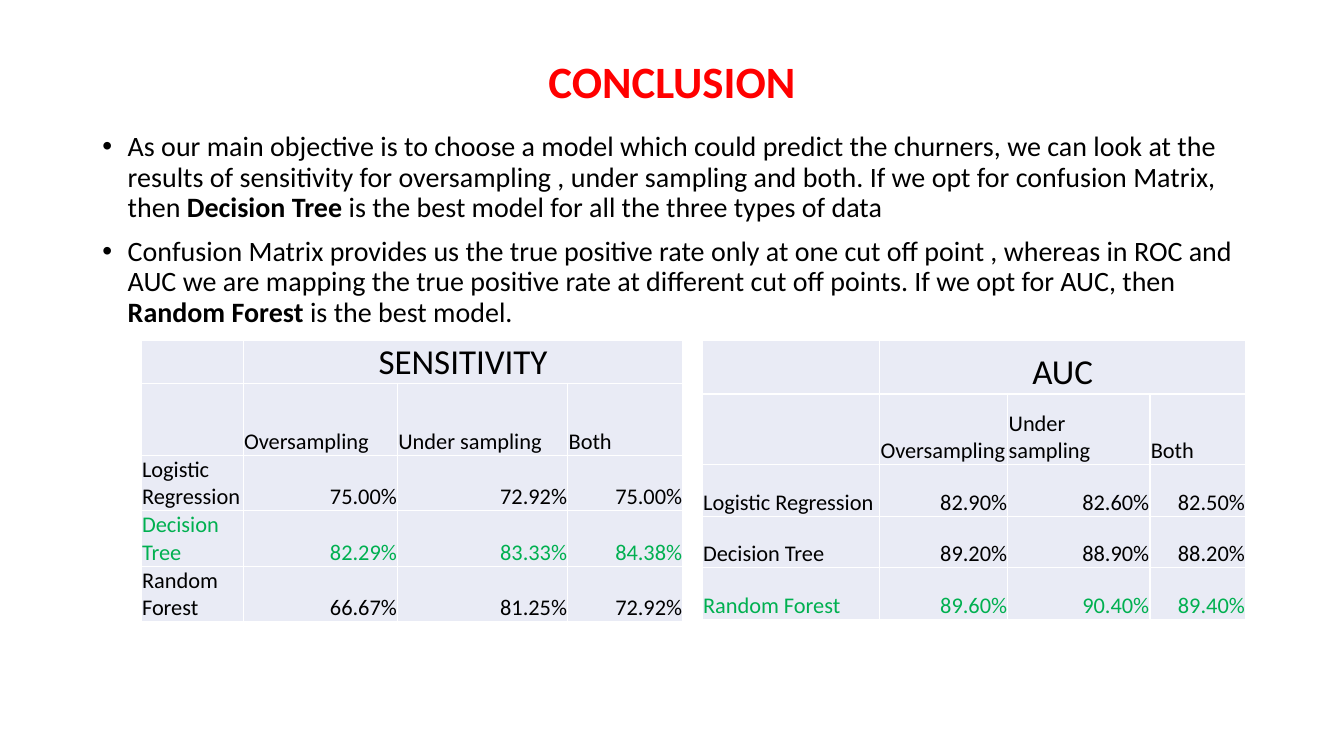
from dataclasses import dataclass
from lxml.etree import SubElement
from pptx import Presentation
from pptx.dml.color import RGBColor
from pptx.enum.text import MSO_ANCHOR, MSO_AUTO_SIZE, PP_ALIGN
from pptx.oxml.ns import qn
from pptx.util import Cm, Pt


@dataclass(frozen=True)
class Theme:
    font: str = "Calibri"
    title_color: RGBColor = RGBColor(0xFF, 0x00, 0x00)
    text_color: RGBColor = RGBColor(0x00, 0x00, 0x00)
    best_color: RGBColor = RGBColor(0x00, 0xB0, 0x50)
    cell_fill: RGBColor = RGBColor(0xE9, 0xEB, 0xF5)
    title_size: Pt = Pt(32)
    body_size: Pt = Pt(20)
    heading_size: Pt = Pt(25)
    cell_size: Pt = Pt(16)


THEME = Theme()

# Each point: lead-in, bold model name, ending
POINTS = [
    ("As our main objective is to choose a model which could predict the churners, "
     "we can look at the results of sensitivity for oversampling , under sampling and both. "
     "If we opt for confusion Matrix, then ",
     "Decision Tree ", "is the best model for all the three types of data"),
    ("Confusion Matrix provides us the true positive rate only at one cut off point , "
     "whereas in ROC and AUC we are mapping the true positive rate at different cut off points. "
     "If we opt for AUC, then ",
     "Random Forest ", "is the best model."),
]
SAMPLINGS = ["", "Oversampling", "Under sampling", "Both"]
SENSITIVITY = [
    ["Logistic Regression", "75.00%", "72.92%", "75.00%"],
    ["Decision Tree", "82.29%", "83.33%", "84.38%"],
    ["Random Forest", "66.67%", "81.25%", "72.92%"],
]
AUC = [
    ["Logistic Regression", "82.90%", "82.60%", "82.50%"],
    ["Decision Tree", "89.20%", "88.90%", "88.20%"],
    ["Random Forest", "89.60%", "90.40%", "89.40%"],
]


def format_run(run, size, color=THEME.text_color, bold=False):
    run.font.name = THEME.font
    run.font.size = size
    run.font.bold = bold
    run.font.color.rgb = color


def add_title(slide, text, left, top, width, height):
    title = slide.shapes.title
    title.left, title.top, title.width, title.height = left, top, width, height
    frame = title.text_frame
    frame.text = text
    frame.auto_size = MSO_AUTO_SIZE.NONE
    frame.vertical_anchor = MSO_ANCHOR.MIDDLE
    paragraph = frame.paragraphs[0]
    paragraph.alignment = PP_ALIGN.CENTER
    paragraph.line_spacing = 0.9
    format_run(paragraph.runs[0], THEME.title_size, THEME.title_color, bold=True)


def set_bullet(paragraph, indent):
    properties = paragraph._p.get_or_add_pPr()
    properties.set("marL", str(indent))
    properties.set("indent", str(-indent))
    SubElement(properties, qn("a:buFont"), typeface="Arial")
    SubElement(properties, qn("a:buChar"), char="•")


def add_points(slide, points, left, top, width, height):
    frame = slide.shapes.add_textbox(left, top, width, height).text_frame
    frame.word_wrap = True
    for index, parts in enumerate(points):
        paragraph = frame.add_paragraph() if index else frame.paragraphs[0]
        paragraph.line_spacing = 0.9
        paragraph.space_before = Pt(10)
        set_bullet(paragraph, Cm(0.64))
        for position, text in enumerate(parts):
            run = paragraph.add_run()
            run.text = text
            format_run(run, THEME.body_size, bold=position == 1)


def fill_cell(cell, text, size, color, alignment):
    cell.fill.solid()
    cell.fill.fore_color.rgb = THEME.cell_fill
    if not text:
        return
    cell.text = text
    cell.vertical_anchor = MSO_ANCHOR.BOTTOM
    cell.margin_left = cell.margin_right = cell.margin_top = Cm(0.02)
    cell.margin_bottom = 0
    paragraph = cell.text_frame.paragraphs[0]
    paragraph.alignment = alignment
    format_run(paragraph.runs[0], size, color)


def add_score_table(slide, heading, scores, best_model, left, top, widths, heights):
    """Add a model-by-sampling table whose best model is highlighted."""
    rows = [["", heading, "", ""], SAMPLINGS, *scores]
    frame = slide.shapes.add_table(len(rows), len(widths), left, top, sum(widths), sum(heights))
    table = frame.table
    table.first_row = table.horz_banding = False
    for column, width in zip(table.columns, widths):
        column.width = width
    for row, height in zip(table.rows, heights):
        row.height = height
    table.cell(0, 1).merge(table.cell(0, 3))
    for row_index, row in enumerate(rows):
        color = THEME.best_color if row[0] == best_model else THEME.text_color
        size = THEME.cell_size if row_index else THEME.heading_size
        for column_index, text in enumerate(row):
            if row_index == 0:
                alignment = PP_ALIGN.CENTER
            elif row_index > 1 and column_index > 0:
                alignment = PP_ALIGN.RIGHT
            else:
                alignment = PP_ALIGN.LEFT
            fill_cell(table.cell(row_index, column_index), text, size, color, alignment)


def build_conclusion(presentation):
    slide = presentation.slides.add_slide(presentation.slide_layouts[5])
    left, width, table_top = Cm(2.33), Cm(29.21), Cm(8.59)
    add_title(slide, "CONCLUSION", left, Cm(1.01), width, Cm(2.21))
    add_points(slide, POINTS, left, Cm(3.22), width, Cm(13.95))
    add_score_table(slide, "SENSITIVITY", SENSITIVITY, "Decision Tree", Cm(3.56), table_top,
                    [Cm(2.57), Cm(3.89), Cm(4.29), Cm(2.9)],
                    [Cm(1.08), Cm(1.8)] + [Cm(1.4)] * 3)
    add_score_table(slide, "AUC", AUC, "Random Forest", Cm(17.7), table_top,
                    [Cm(4.47), Cm(3.23), Cm(3.58), Cm(2.41)],
                    [Cm(1.34), Cm(1.78)] + [Cm(1.3)] * 3)


def main():
    presentation = Presentation()
    presentation.slide_width, presentation.slide_height = Cm(33.87), Cm(19.05)
    build_conclusion(presentation)
    presentation.save("out.pptx")


if __name__ == "__main__":
    main()
